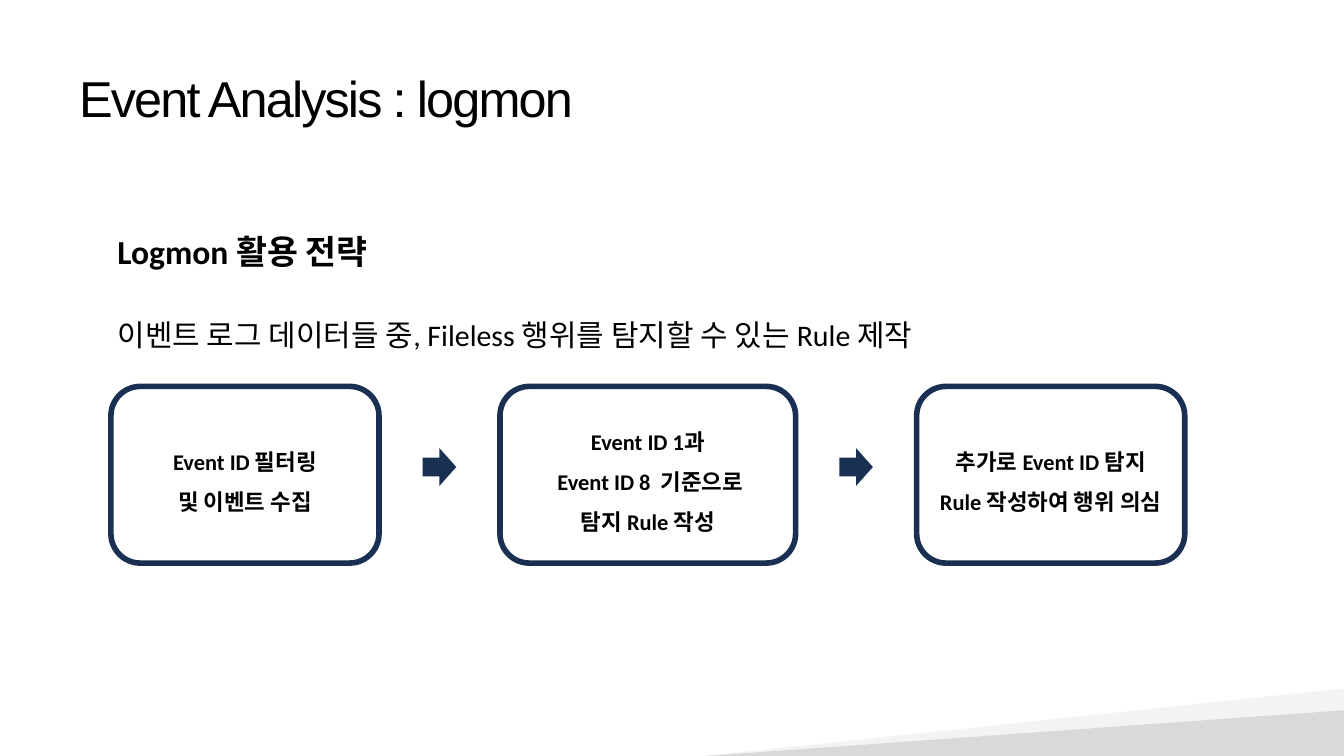
from dataclasses import dataclass
from lxml import etree
from pptx import Presentation
from pptx import util as u
from pptx.dml.color import RGBColor
from pptx.enum import shapes, text
from pptx.oxml import ns


@dataclass
class Theme:
    ink: str = "000000"
    navy: str = "1A3053"
    white: str = "FFFFFF"
    pale: str = "F3F3F3"
    gray: str = "D9D9D9"
    title: int = 54
    head: int = 36
    body: int = 32
    step: int = 24


look = Theme()
kind = shapes.MSO_SHAPE
deck = Presentation()
deck.slide_width = u.Inches(20)
deck.slide_height = u.Inches(11.25)
page = deck.slides.add_slide(deck.slide_layouts[6])


def draw(form, left, top, wide, high, fill):
    item = page.shapes.add_shape(
        form, u.Inches(left), u.Inches(top), u.Inches(wide), u.Inches(high))
    item.shadow.inherit = False
    item.fill.solid()
    item.fill.fore_color.rgb = RGBColor.from_string(fill)
    item.line.fill.background()
    return item


def write(item, lines, size, bold=False, font="Calibri", align=None, space=None):
    frame = item.text_frame
    frame.word_wrap = True
    for i, line in enumerate(lines):
        para = frame.paragraphs[0] if i == 0 else frame.add_paragraph()
        para.alignment = align
        para.line_spacing = space
        run = para.add_run()
        run.text = line
        run.font.name = font
        run.font.size = u.Pt(size)
        run.font.bold = bold
        run.font.color.rgb = RGBColor.from_string(look.ink)
        etree.SubElement(run.font._element, ns.qn("a:ea")).set("typeface", font)
    return frame


for left, top, wide, high, fill in [
    (6.25, 10.2, 14.17, 1.5, look.pale),
    (6.58, 10.54, 13.83, 0.99, look.gray),
]:
    wedge = draw(kind.RIGHT_TRIANGLE, left, top, wide, high, fill)
    wedge._element.spPr.xfrm.set("flipH", "1")

title = page.shapes.add_textbox(
    u.Inches(1.08), u.Inches(0.96), u.Inches(11.25), u.Inches(1.1))
frame = write(title, ["Event Analysis : logmon"], look.title, font="Arial",
              align=text.PP_ALIGN.JUSTIFY, space=0.9)
frame.vertical_anchor = text.MSO_ANCHOR.MIDDLE
frame.paragraphs[0].runs[0].font._element.set("spc", "-200")

for top, high, line, size, bold in [
    (3.38, 0.71, "Logmon 활용 전략", look.head, True),
    (4.66, 0.64, "이벤트 로그 데이터들 중, Fileless 행위를 탐지할 수 있는 Rule 제작",
     look.body, False),
]:
    box = page.shapes.add_textbox(
        u.Inches(1.65), u.Inches(top), u.Inches(14.25), u.Inches(high))
    frame = write(box, [line], size, bold)
    frame.auto_size = text.MSO_AUTO_SIZE.SHAPE_TO_FIT_TEXT

steps = [
    (3.99, ["Event ID 필터링", "및 이벤트 수집"]),
    (4.4, ["Event ID 1과", " Event ID 8  기준으로", "탐지 Rule 작성"]),
    (3.99, ["추가로 Event ID 탐지", "Rule 작성하여 행위 의심"]),
]
top, high, gap = 5.75, 2.63, 1.8
tip, tall = 0.5, 0.56
left = 1.65
for i, (wide, lines) in enumerate(steps):
    if i:
        draw(kind.RIGHT_ARROW, left - (gap + tip) / 2, 6.67, tip, tall, look.navy)
    card = draw(kind.ROUNDED_RECTANGLE, left, top, wide, high, look.white)
    card.line.color.rgb = RGBColor.from_string(look.navy)
    card.line.width = u.Pt(6)
    frame = write(card, lines, look.step, True,
                  align=text.PP_ALIGN.CENTER, space=1.5)
    frame.vertical_anchor = text.MSO_ANCHOR.MIDDLE
    left += wide + gap

deck.save("out.pptx")
